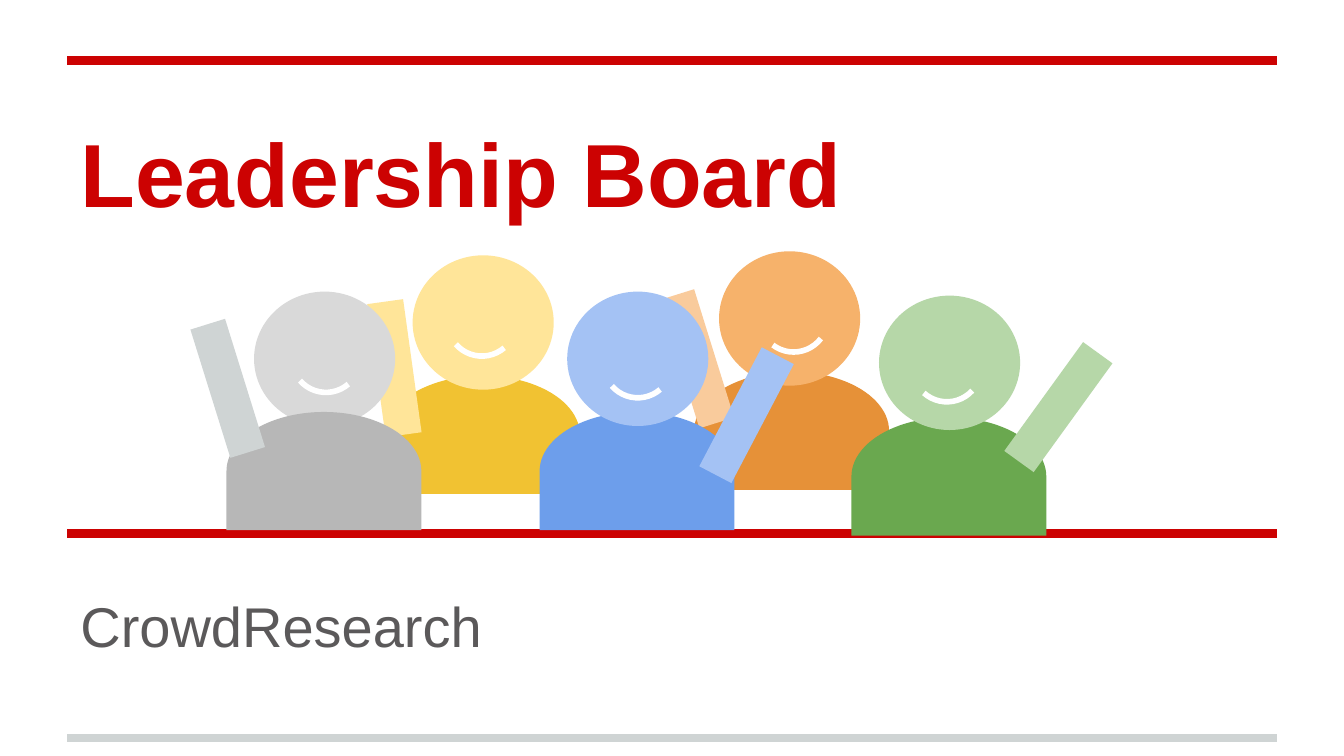
from typing import NamedTuple

import pptx
import pptx.dml.color
import pptx.enum.shapes
import pptx.enum.text
import pptx.oxml
import pptx.util
from pptx.dml.color import RGBColor
from pptx.enum.shapes import MSO_SHAPE
from pptx.util import Inches, Pt

RED = RGBColor(0xCC, 0x02, 0x02)
TEXT_GREY = RGBColor(0x5B, 0x59, 0x5A)
RULE_GREY = RGBColor(0xCF, 0xD4, 0xD4)
WHITE = RGBColor(0xFF, 0xFF, 0xFF)
YELLOW = RGBColor(0xF1, 0xC2, 0x32)
PALE_YELLOW = RGBColor(0xFF, 0xE5, 0x99)
ORANGE = RGBColor(0xE6, 0x91, 0x38)
MID_ORANGE = RGBColor(0xF6, 0xB2, 0x6B)
PALE_ORANGE = RGBColor(0xF9, 0xCB, 0x9C)
GREEN = RGBColor(0x6A, 0xA8, 0x4F)
PALE_GREEN = RGBColor(0xB6, 0xD7, 0xA8)
BLUE = RGBColor(0x6D, 0x9E, 0xEB)
PALE_BLUE = RGBColor(0xA4, 0xC2, 0xF4)
GREY = RGBColor(0xB7, 0xB7, 0xB7)
PALE_GREY = RGBColor(0xD9, 0xD9, 0xD9)

SLIDE_WIDTH = Inches(10)
SLIDE_HEIGHT = SLIDE_WIDTH * 9 // 16
BODY_SIZE = (0.88, 1.45)
HEAD_SIZE = (1.05, 1.0)
ARM_SIZE = (0.27, 1.0)
SMILE_SIZE = (0.51, 0.51)


class Point(NamedTuple):
    x: float
    y: float


class Part(NamedTuple):
    position: Point
    color: RGBColor
    rotation: float = 0


class Person(NamedTuple):
    body: Part
    head: Part
    arm: Part
    smile: Part
    head_behind_body: bool = False


class Rule(NamedTuple):
    y: float
    color: RGBColor
    width: float


class Caption(NamedTuple):
    text: str
    top: float
    height: float
    size: int
    color: RGBColor
    bold: bool


RULES = [Rule(5.49, RULE_GREY, 4), Rule(0.45, RED, 4.5), Rule(3.97, RED, 4.5)]

CAPTIONS = [
    Caption("Leadership Board", 0.78, 3.29, 48, RED, True),
    Caption("CrowdResearch", 4.3, 1.11, 30, TEXT_GREY, False),
]

PEOPLE = [
    Person(
        Part(Point(3.15, 2.51), YELLOW, 270),
        Part(Point(3.07, 1.9), PALE_YELLOW),
        Part(Point(2.8, 2.24), PALE_YELLOW, 352.1),
        Part(Point(3.33, 2.14), WHITE, 139.2),
    ),
    Person(
        Part(Point(5.45, 2.48), ORANGE, 270),
        Part(Point(5.35, 1.87), MID_ORANGE),
        Part(Point(5.05, 2.17), PALE_ORANGE, 342.7),
        Part(Point(5.65, 2.11), WHITE, 127.3),
    ),
    Person(
        Part(Point(6.62, 2.82), GREEN, 270),
        Part(Point(6.54, 2.2), PALE_GREEN),
        Part(Point(7.74, 2.53), PALE_GREEN, 35.9),
        Part(Point(6.79, 2.48), WHITE, 132.3),
    ),
    Person(
        Part(Point(4.3, 2.78), BLUE, 270),
        Part(Point(4.22, 2.17), PALE_BLUE),
        Part(Point(5.42, 2.59), PALE_BLUE, 27.7),
        Part(Point(4.49, 2.45), WHITE, 139.2),
    ),
    Person(
        Part(Point(1.97, 2.78), GREY, 270),
        Part(Point(1.89, 2.17), PALE_GREY),
        Part(Point(1.56, 2.39), RULE_GREY, 342.7),
        Part(Point(2.17, 2.41), WHITE, 139.2),
        head_behind_body=True,
    ),
]


def add_rule(slide, rule: Rule) -> None:
    connector = slide.shapes.add_connector(
        pptx.enum.shapes.MSO_CONNECTOR.STRAIGHT,
        Inches(0.5), Inches(rule.y), Inches(9.5), Inches(rule.y),
    )
    connector.line.color.rgb = rule.color
    connector.line.width = Pt(rule.width)
    connector._element.spPr.append(pptx.oxml.parse_xml(
        '<a:effectLst xmlns:a="http://schemas.openxmlformats.org/drawingml/2006/main"/>'
    ))


def add_caption(slide, caption: Caption) -> None:
    text_box = slide.shapes.add_textbox(
        Inches(0.5), Inches(caption.top), Inches(9), Inches(caption.height)
    )
    text_frame = text_box.text_frame
    text_frame.word_wrap = True
    text_frame.vertical_anchor = pptx.enum.text.MSO_ANCHOR.TOP
    text_frame.margin_left = text_frame.margin_right = Inches(0.1)
    text_frame.margin_top = text_frame.margin_bottom = Inches(0.1)
    text_frame.text = caption.text
    font = text_frame.paragraphs[0].runs[0].font
    font.name = "Arial"
    font.size = Pt(caption.size)
    font.bold = caption.bold
    font.color.rgb = caption.color


def add_part(slide, kind: MSO_SHAPE, part: Part, size: tuple[float, float]) -> None:
    shape = slide.shapes.add_shape(
        kind, Inches(part.position.x), Inches(part.position.y),
        Inches(size[0]), Inches(size[1]),
    )
    shape.rotation = part.rotation
    shape.shadow.inherit = False
    if kind == MSO_SHAPE.ARC:
        shape.fill.background()
        shape.line.color.rgb = part.color
        shape.line.width = Pt(3)
    else:
        shape.fill.solid()
        shape.fill.fore_color.rgb = part.color
        shape.line.fill.background()


def add_person(slide, person: Person) -> None:
    layers = [
        (MSO_SHAPE.FLOWCHART_DELAY, person.body, BODY_SIZE),
        (MSO_SHAPE.OVAL, person.head, HEAD_SIZE),
    ]
    if person.head_behind_body:
        layers.reverse()
    layers.append((MSO_SHAPE.RECTANGLE, person.arm, ARM_SIZE))
    for kind, part, size in layers:
        add_part(slide, kind, part, size)


def main() -> None:
    presentation = pptx.Presentation()
    presentation.slide_width = SLIDE_WIDTH
    presentation.slide_height = SLIDE_HEIGHT
    slide = presentation.slides.add_slide(presentation.slide_layouts[6])
    for rule in RULES:
        add_rule(slide, rule)
    for caption in CAPTIONS:
        add_caption(slide, caption)
    for person in PEOPLE:
        add_person(slide, person)
    for person in PEOPLE:
        add_part(slide, MSO_SHAPE.ARC, person.smile, SMILE_SIZE)
    presentation.save("out.pptx")


if __name__ == "__main__":
    main()
